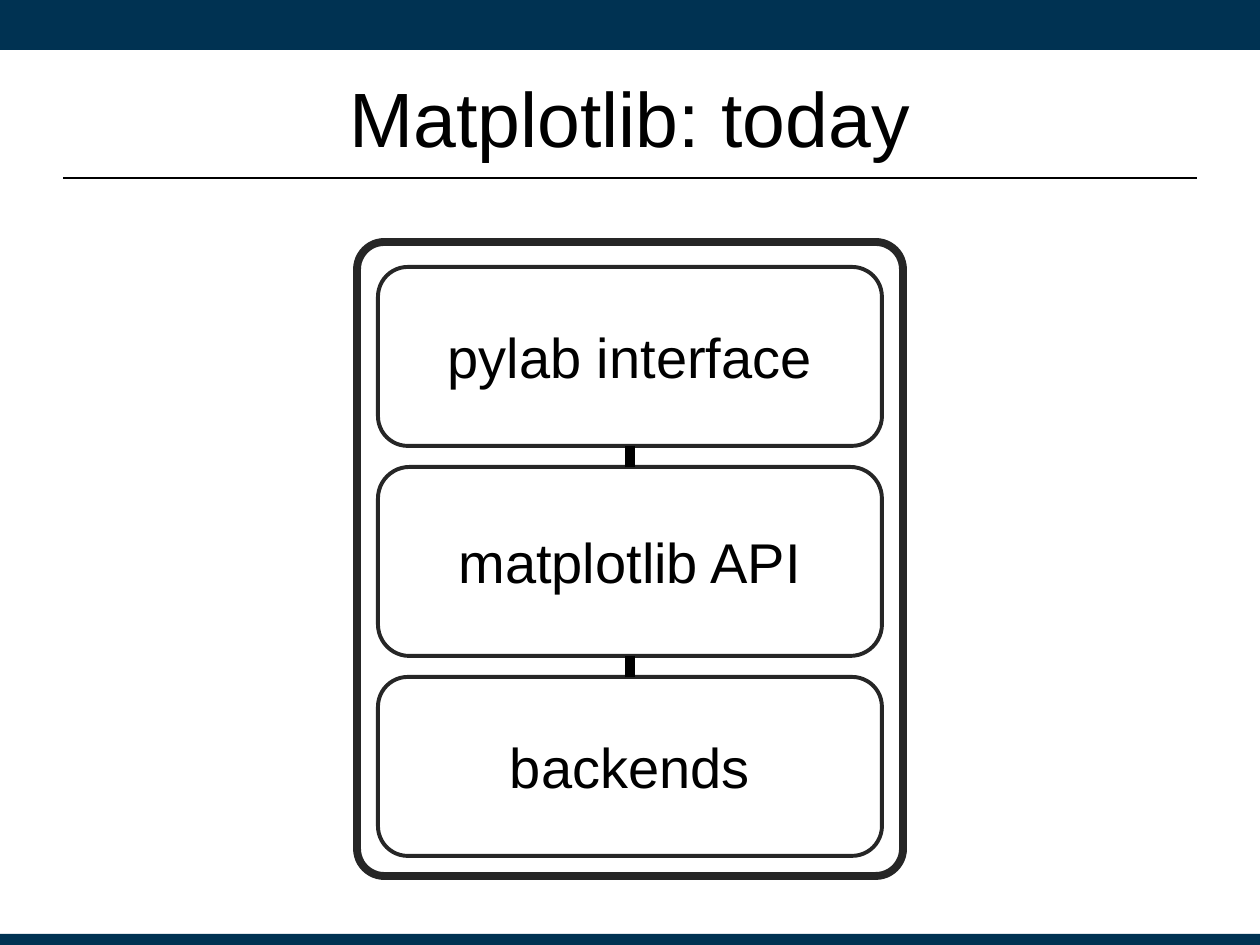
"""Build a slide showing the three stacked layers of Matplotlib."""
from pptx import Presentation
from pptx.dml.color import RGBColor
from pptx.enum.shapes import MSO_CONNECTOR as Connector, MSO_SHAPE as Shape
from pptx.enum.text import MSO_ANCHOR as Anchor, PP_ALIGN as Align
from pptx.util import Pt
from lxml.etree import SubElement
from pptx.oxml.ns import qn

TITLE = "Matplotlib: today"
LAYERS = [("pylab interface", 179), ("matplotlib API", 189), ("backends", 179)]
LAYER_LEFT, LAYER_TOP, LAYER_WIDTH, LAYER_GAP = 378, 267, 504, 21
BANDS = [(0, 0, 1260, 50), (0, 934, 1260, 11)]
FRAME = (357, 242, 546, 634)
RULE_LEFT, RULE_RIGHT, RULE_TOP = 63, 1197, 178
NAVY, CHARCOAL, BLACK = "003252", "262626", "000000"


def px(length):
    return round(length * 914400 / 126)


def color(value):
    return RGBColor.from_string(value)


def add_box(slide, kind, place, fill=None, line=None, width=0):
    box = slide.shapes.add_shape(kind, *map(px, place))
    box.shadow.inherit = False
    if fill:
        box.fill.solid()
        box.fill.fore_color.rgb = color(fill)
    else:
        box.fill.background()
    if line:
        box.line.color.rgb = color(line)
        box.line.width = Pt(width)
    else:
        box.line.fill.background()
    return box


def add_line(slide, width, start=(0, 0), end=(0, 0)):
    line = slide.shapes.add_connector(Connector.STRAIGHT, *map(px, start + end))
    line.line.color.rgb = color(BLACK)
    line.line.width = Pt(width)
    SubElement(line._element.spPr, qn("a:effectLst"))
    return line


def write(shape, text, size):
    frame = shape.text_frame
    frame.word_wrap = True
    frame.vertical_anchor = Anchor.MIDDLE
    para = frame.paragraphs[0]
    para.text = text
    para.alignment = Align.CENTER
    para.font.name = "Arial"
    para.font.size = Pt(size)
    para.font.color.rgb = color(BLACK)


def main():
    deck = Presentation()
    deck.slide_width, deck.slide_height = px(1260), px(945)
    slide = deck.slides.add_slide(deck.slide_layouts[5])

    for band in BANDS:
        add_box(slide, Shape.RECTANGLE, band, fill=NAVY)
    add_line(slide, 1.25, (RULE_LEFT, RULE_TOP), (RULE_RIGHT, RULE_TOP))

    title = slide.shapes.title
    title.left, title.top, title.width, title.height = map(px, (63, 38, 1134, 157))
    write(title, TITLE, 44)

    frame = add_box(slide, Shape.ROUNDED_RECTANGLE, FRAME, line=CHARCOAL, width=4.5)
    frame.adjustments[0] = 0.05

    boxes = []
    top = LAYER_TOP
    for label, height in LAYERS:
        place = (LAYER_LEFT, top, LAYER_WIDTH, height)
        box = add_box(slide, Shape.ROUNDED_RECTANGLE, place, line=CHARCOAL, width=2.25)
        write(box, label, 32)
        boxes.append(box)
        top += height + LAYER_GAP

    for upper, lower in zip(boxes, boxes[1:]):
        link = add_line(slide, 6)
        link.begin_connect(upper, 2)
        link.end_connect(lower, 0)

    deck.save("out.pptx")


if __name__ == "__main__":
    main()
